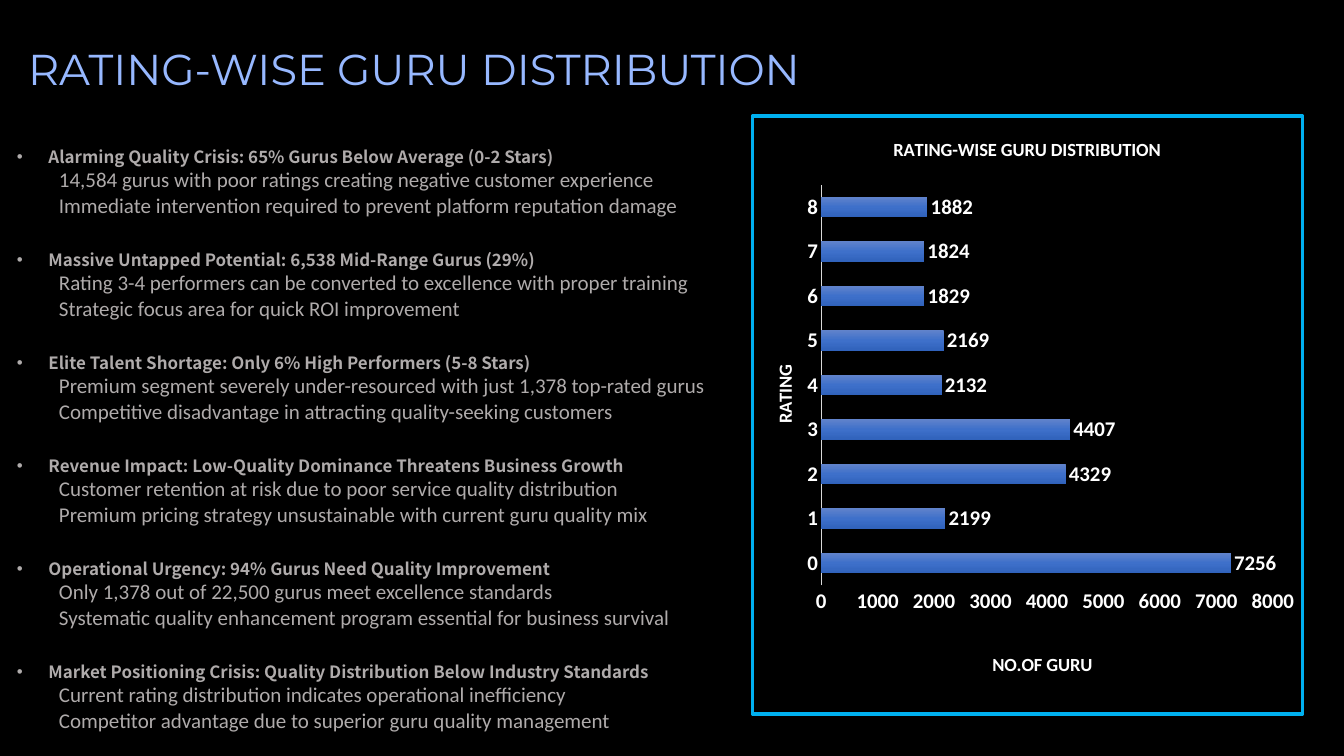
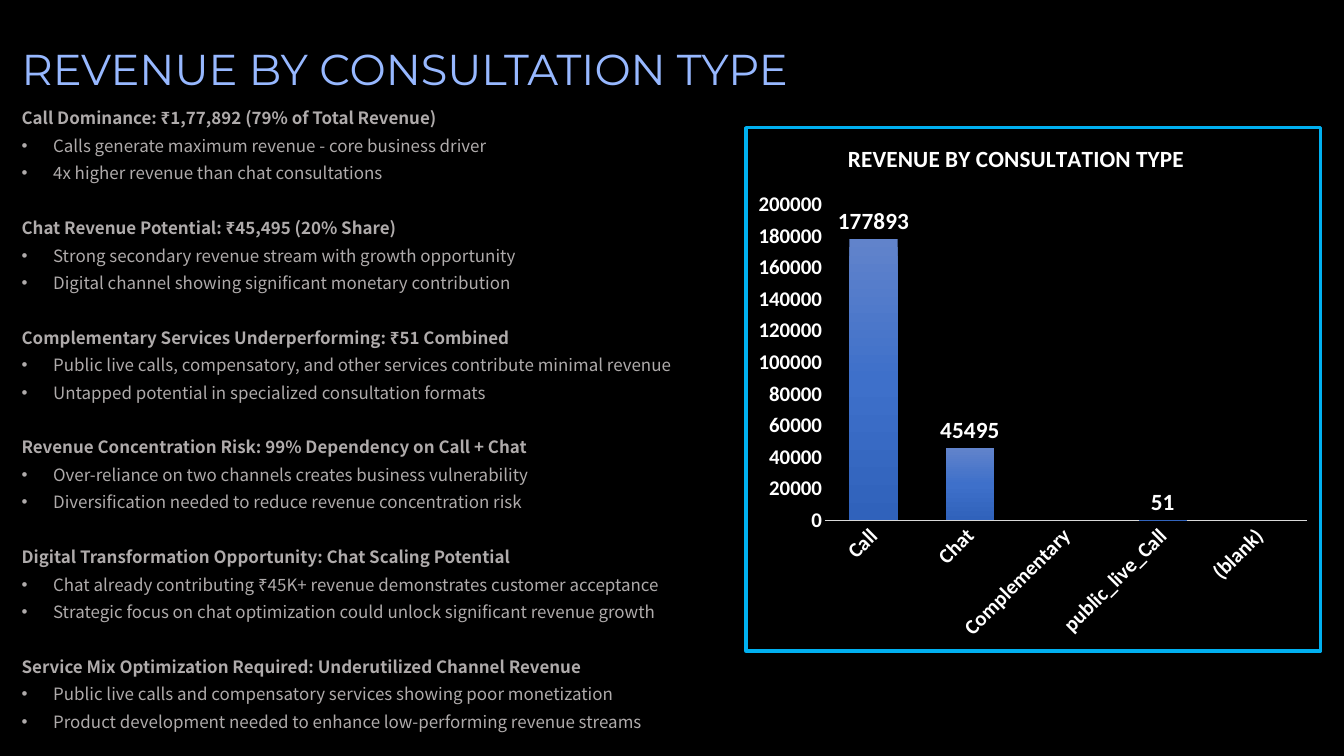
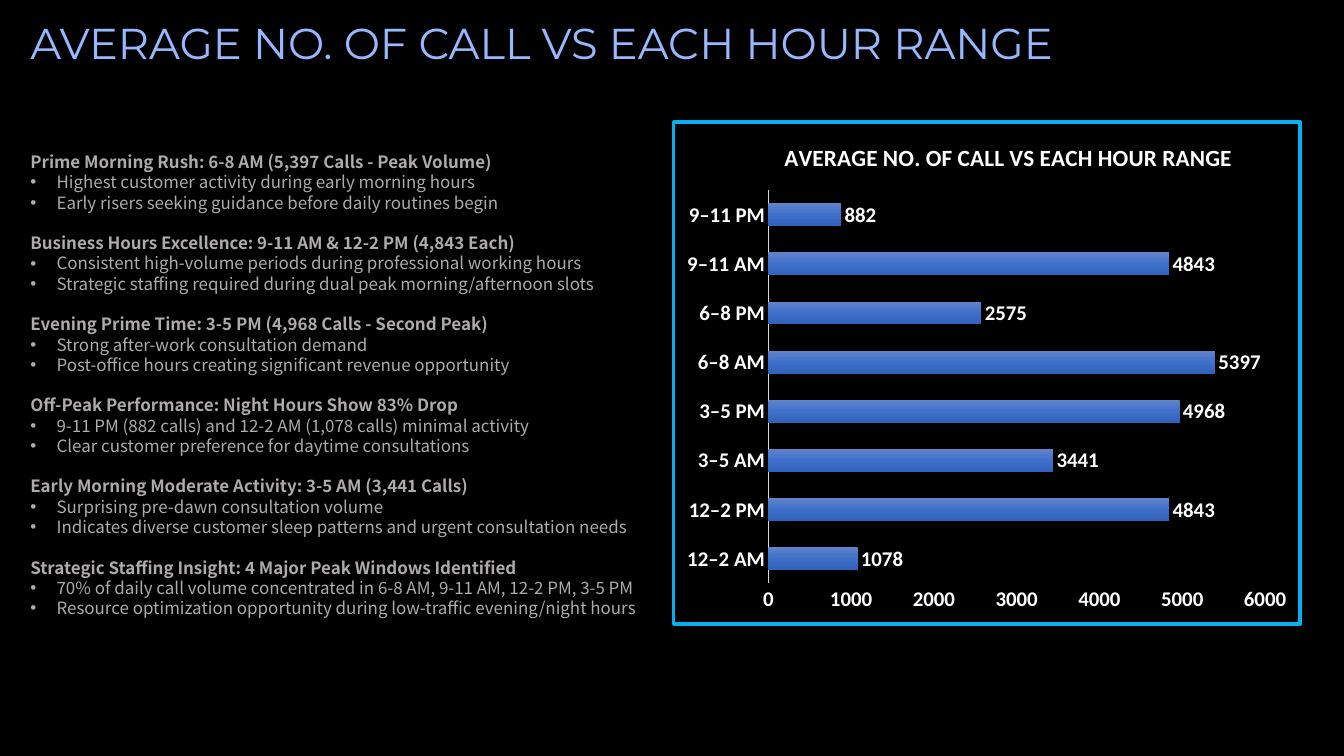
from dataclasses import dataclass

from lxml.etree import SubElement
from pptx import Presentation
from pptx.chart.data import CategoryChartData
from pptx.dml.color import RGBColor
from pptx.enum.chart import XL_CHART_TYPE as ChartType
from pptx.enum.chart import XL_LABEL_POSITION as LabelPosition
from pptx.enum.chart import XL_TICK_MARK as TickMark
from pptx.enum.text import MSO_ANCHOR as Anchor
from pptx.enum.text import MSO_AUTO_SIZE as AutoSize
from pptx.enum.text import PP_ALIGN as Align
from pptx.oxml import parse_xml
from pptx.oxml.ns import nsdecls, qn
from pptx.util import Pt

COLORS = {
    "background": "000000",
    "title": "97B8FF",
    "body": "AFABAB",
    "chart_text": "FFFFFF",
    "axis": "D9D9D9",
    "border": "00B0F0",
    "bar_top": "6183CB",
    "bar_middle": "3E70CA",
    "bar_bottom": "3062BB",
}
TITLE_FONT, HEAD_FONT, PLAIN_FONT = "Montserrat", "Noto Sans CJK TC", "Calibri"


@dataclass
class LineStyle:
    """Look of one kind of line in a list; lengths in points."""
    spacing: float
    indent: float = 0
    bullet: bool = False
    bold: bool = False
    font: str = HEAD_FONT
    size: float = 14.5
    level: int = 0


RATING_POINTS = [
    ("Alarming Quality Crisis: 65% Gurus Below Average (0-2 Stars)",
     "14,584 gurus with poor ratings creating negative customer experience",
     "Immediate intervention required to prevent platform reputation damage"),
    ("Massive Untapped Potential: 6,538 Mid-Range Gurus (29%)",
     "Rating 3-4 performers can be converted to excellence with proper training",
     "Strategic focus area for quick ROI improvement"),
    ("Elite Talent Shortage: Only 6% High Performers (5-8 Stars)",
     "Premium segment severely under-resourced with just 1,378 top-rated gurus",
     "Competitive disadvantage in attracting quality-seeking customers"),
    ("Revenue Impact: Low-Quality Dominance Threatens Business Growth",
     "Customer retention at risk due to poor service quality distribution",
     "Premium pricing strategy unsustainable with current guru quality mix"),
    ("Operational Urgency: 94% Gurus Need Quality Improvement",
     "Only 1,378 out of 22,500 gurus meet excellence standards",
     "Systematic quality enhancement program essential for business survival"),
    ("Market Positioning Crisis: Quality Distribution Below Industry Standards",
     "Current rating distribution indicates operational inefficiency",
     "Competitor advantage due to superior guru quality management"),
]
REVENUE_POINTS = [
    ("Call Dominance: ₹1,77,892 (79% of Total Revenue)",
     "Calls generate maximum revenue - core business driver",
     "4x higher revenue than chat consultations"),
    ("Chat Revenue Potential: ₹45,495 (20% Share)",
     "Strong secondary revenue stream with growth opportunity",
     "Digital channel showing significant monetary contribution"),
    ("Complementary Services Underperforming: ₹51 Combined",
     "Public live calls, compensatory, and other services contribute minimal revenue",
     "Untapped potential in specialized consultation formats"),
    ("Revenue Concentration Risk: 99% Dependency on Call + Chat",
     "Over-reliance on two channels creates business vulnerability",
     "Diversification needed to reduce revenue concentration risk"),
    ("Digital Transformation Opportunity: Chat Scaling Potential",
     "Chat already contributing ₹45K+ revenue demonstrates customer acceptance",
     "Strategic focus on chat optimization could unlock significant revenue growth"),
    ("Service Mix Optimization Required: Underutilized Channel Revenue",
     "Public live calls and compensatory services showing poor monetization",
     "Product development needed to enhance low-performing revenue streams"),
]
HOURLY_POINTS = [
    ("Prime Morning Rush: 6-8 AM (5,397 Calls - Peak Volume)",
     "Highest customer activity during early morning hours",
     "Early risers seeking guidance before daily routines begin"),
    ("Business Hours Excellence: 9-11 AM & 12-2 PM (4,843 Each)",
     "Consistent high-volume periods during professional working hours",
     "Strategic staffing required during dual peak morning/afternoon slots"),
    ("Evening Prime Time: 3-5 PM (4,968 Calls - Second Peak)",
     "Strong after-work consultation demand",
     "Post-office hours creating significant revenue opportunity"),
    ("Off-Peak Performance: Night Hours Show 83% Drop",
     "9-11 PM (882 calls) and 12-2 AM (1,078 calls) minimal activity",
     "Clear customer preference for daytime consultations"),
    ("Early Morning Moderate Activity: 3-5 AM (3,441 Calls)",
     "Surprising pre-dawn consultation volume",
     "Indicates diverse customer sleep patterns and urgent consultation needs"),
    ("Strategic Staffing Insight: 4 Major Peak Windows Identified",
     "70% of daily call volume concentrated in 6-8 AM, 9-11 AM, 12-2 PM, 3-5 PM",
     "Resource optimization opportunity during low-traffic evening/night hours"),
]


def rgb(name):
    return RGBColor.from_string(COLORS[name])


def style_font(font, face, size, color, bold):
    font.name, font.size, font.bold = face, Pt(size), bold
    font.color.rgb = rgb(color)


def place(shape, left, top, width, height):
    shape.left, shape.top = Pt(left), Pt(top)
    shape.width, shape.height = Pt(width), Pt(height)


def prepare_frame(box):
    frame = box.text_frame
    frame.margin_left = frame.margin_right = 0
    frame.margin_top = frame.margin_bottom = 0
    frame.vertical_anchor = Anchor.TOP
    frame.word_wrap = True
    frame.auto_size = AutoSize.NONE
    return frame


def add_title(slide, text, left, top):
    box = slide.shapes.title
    place(box, left, top, 920, 52)
    para = prepare_frame(box).paragraphs[0]
    para.alignment = Align.LEFT
    para.line_spacing = Pt(46)
    span = para.add_run()
    span.text = text
    style_font(span.font, TITLE_FONT, 37, "title", False)


def add_line(para, text, style, space_before):
    para.level = style.level
    properties = para._p.get_or_add_pPr()
    properties.set("marL", str(Pt(style.indent)))
    properties.set("indent", str(-Pt(style.indent) if style.bullet else 0))
    if style.bullet:
        SubElement(properties, qn("a:buChar")).set("char", "•")
    else:
        SubElement(properties, qn("a:buNone"))
    para.alignment = Align.LEFT
    para.line_spacing = Pt(style.spacing)
    para.space_before = Pt(space_before)
    para.space_after = Pt(0)
    span = para.add_run()
    span.text = text
    style_font(span.font, style.font, style.size, "body", style.bold)


def add_points(slide, groups, position, head, detail):
    """Fill the body with groups of a heading and its details, one line apart."""
    box = slide.placeholders[1]
    place(box, *position)
    frame = prepare_frame(box)
    for group_index, (heading, *details) in enumerate(groups):
        para = frame.add_paragraph() if group_index else frame.paragraphs[0]
        add_line(para, heading, head, detail.spacing if group_index else 0)
        for text in details:
            add_line(frame.add_paragraph(), text, detail, 0)


def manual_layout(left, top, width=None, height=None):
    """Layout element in fractions of the chart; a size marks the inner plot."""
    parts = ['<c:layoutTarget val="inner"/>'] if width else []
    parts += ['<c:xMode val="edge"/><c:yMode val="edge"/>']
    for tag, value in zip("xywh", (left, top, width, height)):
        if value is not None:
            parts.append(f'<c:{tag} val="{value}"/>')
    return parse_xml(f'<c:layout {nsdecls("c")}><c:manualLayout>'
                     f'{"".join(parts)}</c:manualLayout></c:layout>')


def set_layout(element, layout, after=None):
    """Put the layout first in the element, or behind its child named after."""
    for old in element.findall(qn("c:layout")):
        element.remove(old)
    index = 0 if after is None else element.index(element.find(qn(after))) + 1
    element.insert(index, layout)


def add_chart_text(owner, text, size, corner):
    """Give a chart or an axis a bold title at the given corner."""
    owner.has_title = True
    title = owner.chart_title if hasattr(owner, "chart_title") else owner.axis_title
    span = title.text_frame.paragraphs[0].add_run()
    span.text = text
    style_font(span.font, PLAIN_FONT, size, "chart_text", True)
    set_layout(title._element, manual_layout(*corner), "c:tx")


def style_axis(axis):
    axis.has_major_gridlines = False
    axis.major_tick_mark = axis.minor_tick_mark = TickMark.NONE
    style_font(axis.tick_labels.font, PLAIN_FONT, 18, "chart_text", True)


def fill_bars(series):
    names = ("bar_top", "bar_middle", "bar_bottom")
    stops = "".join(
        f'<a:gs pos="{position}"><a:srgbClr val="{COLORS[name]}"/></a:gs>'
        for position, name in zip((0, 50000, 100000), names))
    gradient = parse_xml(f'<a:gradFill {nsdecls("a")} rotWithShape="1"><a:gsLst>{stops}'
                         '</a:gsLst><a:lin ang="5400000" scaled="0"/></a:gradFill>')
    series._element.get_or_add_spPr().insert(0, gradient)
    series.invert_if_negative = False


def add_border(chart):
    border = parse_xml(
        f'<c:spPr {nsdecls("c", "a")}><a:noFill/><a:ln w="{Pt(3)}"><a:solidFill>'
        f'<a:srgbClr val="{COLORS["border"]}"/></a:solidFill><a:round/></a:ln></c:spPr>')
    chart._chartSpace.find(qn("c:chart")).addnext(border)


def add_bar_chart(slide, kind, position, values, title, title_size, title_corner,
                  plot_area, scale, gap=115, overlap=-20, label_size=18):
    data = CategoryChartData()
    data.categories = list(values)
    data.add_series("Series 1", list(values.values()))
    chart = slide.shapes.add_chart(kind, *map(Pt, position), data).chart
    chart.has_legend = False
    chart.font.name, chart.font.size = PLAIN_FONT, Pt(10)
    add_border(chart)
    add_chart_text(chart, title, title_size, title_corner)

    categories, amounts = chart.category_axis, chart.value_axis
    style_axis(categories)
    style_axis(amounts)
    categories.format.line.color.rgb = rgb("axis")
    categories.format.line.width = Pt(1)
    amounts.format.line.fill.background()
    amounts.minimum_scale = 0
    amounts.maximum_scale, amounts.major_unit = scale
    amounts.tick_labels.number_format = "0"
    amounts.tick_labels.number_format_is_linked = False

    plot = chart.plots[0]
    plot.gap_width, plot.overlap = gap, overlap
    plot.vary_by_categories = False
    fill_bars(plot.series[0])
    plot.has_data_labels = True
    labels = plot.data_labels
    labels.show_value = True
    labels.position = LabelPosition.OUTSIDE_END
    labels.number_format, labels.number_format_is_linked = "0", False
    style_font(labels.font, PLAIN_FONT, label_size, "chart_text", True)
    set_layout(chart._chartSpace.find(".//" + qn("c:plotArea")), manual_layout(*plot_area))
    return chart


def add_rating_slide(slide):
    add_title(slide, "RATING-WISE GURU DISTRIBUTION", 24, 34.5)
    add_points(slide, RATING_POINTS, (14.5, 119.5, 597.5, 520),
               LineStyle(23.5, 27, bullet=True, bold=True),
               LineStyle(21.6, 36, font=PLAIN_FONT, size=18, level=1))
    ratings = [7256, 2199, 4329, 4407, 2132, 2169, 1829, 1824, 1882]
    chart = add_bar_chart(
        slide, ChartType.BAR_CLUSTERED, (643.5, 98, 474.5, 515.5),
        {str(rating): count for rating, count in enumerate(ratings)},
        "RATING-WISE GURU DISTRIBUTION", 16, (0.25, 0.03),
        (0.125, 0.115, 0.821, 0.67), (8000, 1000))
    add_chart_text(chart.category_axis, "RATING", 16, (0.03, 0.41))
    add_chart_text(chart.value_axis, "NO.OF GURU", 16, (0.43, 0.89))
    turned = chart.category_axis.axis_title.text_frame._txBody.bodyPr
    turned.set("rot", "-5400000")
    turned.set("vert", "horz")


def add_revenue_slide(slide):
    add_title(slide, "REVENUE BY CONSULTATION TYPE", 18.5, 34.5)
    add_points(slide, REVENUE_POINTS, (18.5, 86.5, 582, 561),
               LineStyle(23.5, bold=True), LineStyle(23.5, 27, bullet=True))
    chart = add_bar_chart(
        slide, ChartType.COLUMN_CLUSTERED, (638, 108, 495.5, 451.5),
        {"Call": 177893, "Chat": 45495, "Complementary": None,
         "public_live_Call": 51, "(blank)": None},
        "REVENUE BY CONSULTATION TYPE", 20, (0.17, 0.02),
        (0.138, 0.146, 0.839, 0.604), (200000, 20000),
        gap=100, overlap=-24, label_size=20)
    label_body = chart.category_axis._element.find(qn("c:txPr")).find(qn("a:bodyPr"))
    label_body.set("rot", "-2700000")
    label_body.set("vert", "horz")


def add_hourly_slide(slide):
    add_title(slide, "AVERAGE NO. OF CALL VS EACH HOUR RANGE", 26, 12)
    add_points(slide, HOURLY_POINTS, (26, 130, 530, 420),
               LineStyle(17.4, bold=True), LineStyle(17.4, 22.5, bullet=True))
    add_bar_chart(
        slide, ChartType.BAR_CLUSTERED, (576, 103, 540, 433.5),
        {"12–2 AM": 1078, "12–2 PM": 4843, "3–5 AM": 3441, "3–5 PM": 4968,
         "6–8 AM": 5397, "6–8 PM": 2575, "9–11 AM": 4843, "9–11 PM": 882},
        "AVERAGE NO. OF CALL VS EACH HOUR RANGE", 20, (0.17, 0.03),
        (0.151, 0.136, 0.793, 0.783), (6000, 1000))


def main():
    deck = Presentation()
    deck.slide_width, deck.slide_height = Pt(1152), Pt(648)
    backdrop = deck.slide_master.background.fill
    backdrop.solid()
    backdrop.fore_color.rgb = rgb("background")
    for add_content in (add_rating_slide, add_revenue_slide, add_hourly_slide):
        add_content(deck.slides.add_slide(deck.slide_layouts[1]))
    deck.save("out.pptx")


if __name__ == "__main__":
    main()
